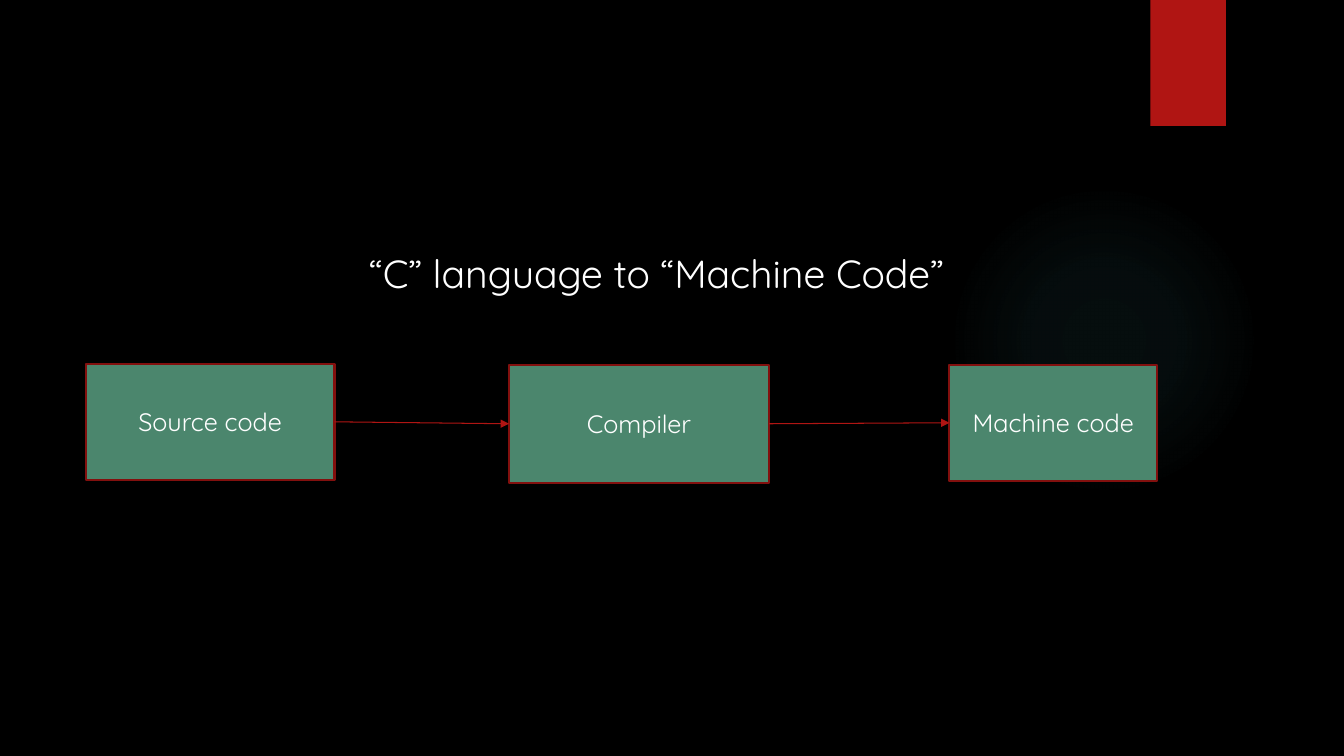
from itertools import pairwise

from lxml.etree import SubElement
from pptx import Presentation
from pptx.dml.color import RGBColor
from pptx.enum.shapes import MSO_CONNECTOR, MSO_SHAPE
from pptx.enum.text import MSO_ANCHOR, PP_ALIGN
from pptx.oxml import parse_xml
from pptx.oxml.ns import nsdecls, qn
from pptx.util import Pt

COLORS = {
    "background": "000000",
    "glow": "50B9C1",
    "accent": "B01513",
    "stage": "4B866D",
    "stage_border": "82100E",
    "text": "FFFFFF",
}
FONT = "Quicksand"
GLOW_STOPS = [(0, 7), (36, 6), (69, 0)]  # position and opacity, in percent

# Each stage: label, left offset, top offset, width, height
STAGES = [
    ("Source code", 0, 0, 177.8, 82.8),
    ("Compiler", 302.4, 0.7, 185.8, 84.2),
    ("Machine code", 617, 0.7, 148.3, 82.8),
]


def color(name):
    return RGBColor.from_string(COLORS[name])


def write_text(shape, text, size=18, text_color="text", align=PP_ALIGN.CENTER,
               anchor=MSO_ANCHOR.MIDDLE):
    frame = shape.text_frame
    frame.word_wrap = True
    frame.vertical_anchor = anchor
    paragraph = frame.paragraphs[0]
    paragraph.alignment = align
    run = paragraph.add_run()
    run.text = text
    run.font.name = FONT
    run.font.size = Pt(size)
    run.font.color.rgb = color(text_color)


def add_box(slide, kind, left, top, width, height, fill, border=None):
    shape = slide.shapes.add_shape(kind, Pt(left), Pt(top), Pt(width), Pt(height))
    shape.shadow.inherit = False
    shape.fill.solid()
    shape.fill.fore_color.rgb = color(fill)
    if border:
        shape.line.color.rgb = color(border)
        shape.line.width = Pt(1.5)
    else:
        shape.line.fill.background()
    return shape


def add_arrow(slide, source, target):
    arrow = slide.shapes.add_connector(MSO_CONNECTOR.STRAIGHT, 0, 0, 0, 0)
    arrow.begin_connect(source, 3)  # right side
    arrow.end_connect(target, 1)  # left side
    arrow.line.color.rgb = color("accent")
    arrow.line.width = Pt(0.75)
    SubElement(arrow.line._get_or_add_ln(), qn("a:tailEnd"), type="triangle")
    SubElement(arrow._element.spPr, qn("a:effectLst"))


def add_glow(slide, left, top, diameter):
    glow = add_box(slide, MSO_SHAPE.OVAL, left, top, diameter, diameter, "glow")
    stops = "".join(
        f'<a:gs pos="{position * 1000}"><a:srgbClr val="{COLORS["glow"]}">'
        f'<a:alpha val="{opacity * 1000}"/></a:srgbClr></a:gs>'
        for position, opacity in GLOW_STOPS
    )
    gradient = parse_xml(
        f'<a:gradFill {nsdecls("a")}><a:gsLst>{stops}</a:gsLst><a:path path="circle">'
        '<a:fillToRect l="50000" t="50000" r="50000" b="50000"/></a:path></a:gradFill>'
    )
    properties = glow._element.spPr
    properties.replace(properties.find(qn("a:solidFill")), gradient)


def add_heading(slide, left, top, width, height):
    heading = slide.shapes.add_textbox(Pt(left), Pt(top), Pt(width), Pt(height))
    write_text(heading, "“C” language to “Machine Code”", size=28)


def add_flow(slide, left, top):
    boxes = []
    for label, offset_x, offset_y, width, height in STAGES:
        box = add_box(slide, MSO_SHAPE.RECTANGLE, left + offset_x, top + offset_y,
                      width, height, "stage", border="stage_border")
        write_text(box, label)
        boxes.append(box)
    for source, target in pairwise(boxes):
        add_arrow(slide, source, target)


presentation = Presentation()
presentation.slide_width, presentation.slide_height = Pt(960), Pt(540)
slide = presentation.slides.add_slide(presentation.slide_layouts[6])
slide.background.fill.solid()
slide.background.fill.fore_color.rgb = color("background")

# Backdrop: soft glow and red ribbon
add_glow(slide, 677.5, 131.8, 221.8)
add_box(slide, MSO_SHAPE.RECTANGLE, 821.7, 0, 54, 90, "accent")

# Heading and compilation flow
add_heading(slide, 51, 170, 836, 50)
add_flow(slide, 61.2, 259.9)

presentation.save("out.pptx")
